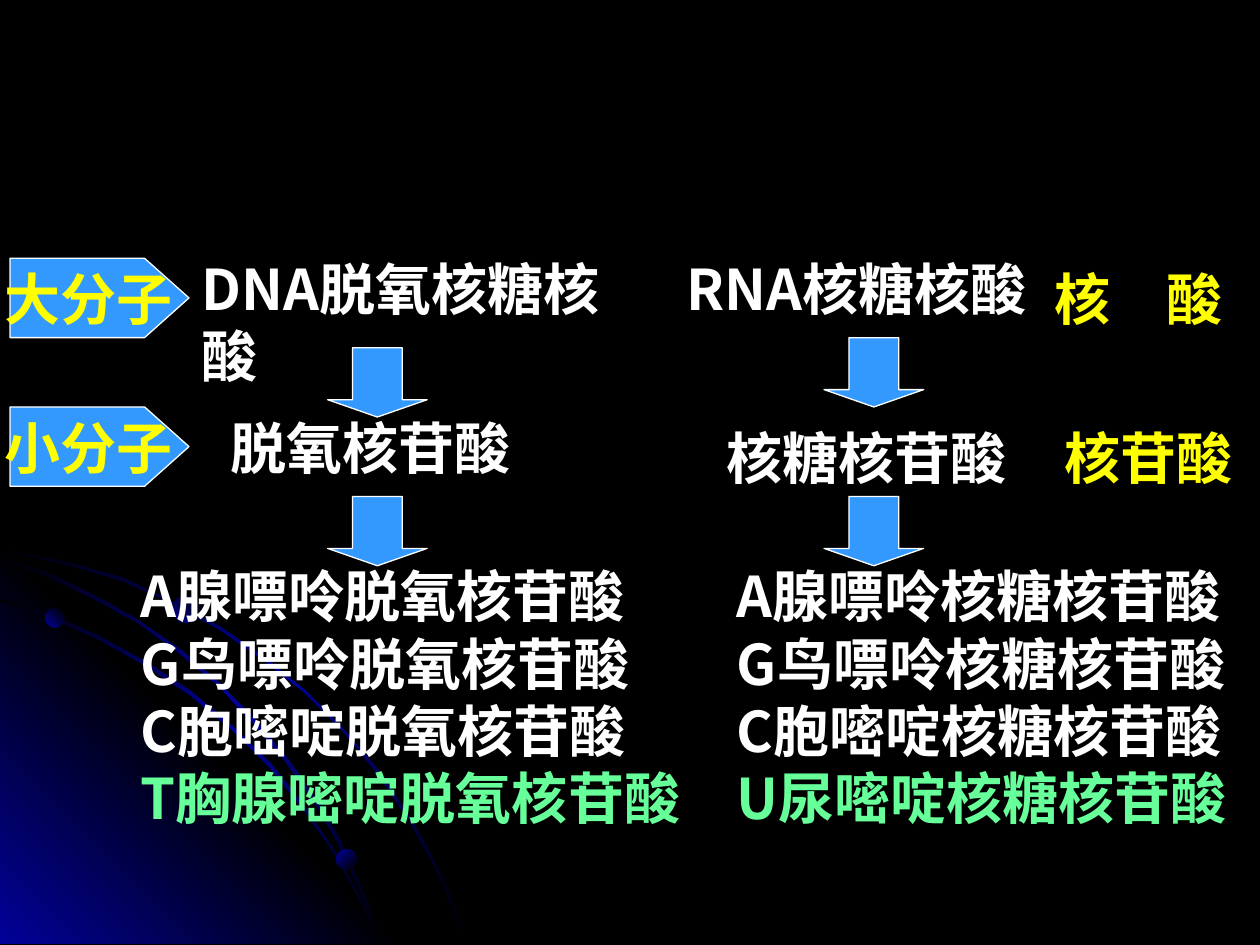
from pptx import Presentation
from pptx import util as u
from pptx.dml.color import RGBColor
from pptx.enum import shapes, text
from pptx.oxml import parse_xml
from pptx.oxml.ns import nsdecls, qn

PX = 9144  # 100 px to the inch
BLACK = RGBColor(0x00, 0x00, 0x00)
NAVY = RGBColor(0x01, 0x01, 0x99)
WHITE = RGBColor(0xFF, 0xFF, 0xFF)
YELLOW = RGBColor(0xFF, 0xFF, 0x00)
GREEN = RGBColor(0x66, 0xFF, 0x99)
BLUE = RGBColor(0x33, 0x99, 0xFF)
CJK = "Noto Sans CJK SC"

prs = Presentation()
prs.slide_width, prs.slide_height = 1000 * PX, 750 * PX
slide = prs.slides.add_slide(prs.slide_layouts[6])
slide.background.fill.solid()
slide.background.fill.fore_color.rgb = BLACK


def shade(shape, colors, angle):
    """Fill with evenly spaced gradient stops, without outline."""
    shape.shadow.inherit = False
    shape.line.fill.background()
    shape.fill.background()
    stops = "".join(
        f'<a:gs pos="{100000 * i // (len(colors) - 1)}"><a:srgbClr val="{c}"/></a:gs>'
        for i, c in enumerate(colors))
    gradient = parse_xml(
        f'<a:gradFill {nsdecls("a")}><a:gsLst>{stops}</a:gsLst>'
        f'<a:lin ang="{angle * 60000}" scaled="1"/></a:gradFill>')
    sp_pr = shape._element.spPr
    sp_pr.replace(sp_pr.find(qn("a:noFill")), gradient)


def write(shape, *paragraphs, color=WHITE, font=CJK, align=None, wrap=True):
    """Each paragraph is a string or a list of (string, color) runs."""
    frame = shape.text_frame
    frame.word_wrap = wrap
    for i, content in enumerate(paragraphs):
        paragraph = frame.paragraphs[0] if i == 0 else frame.add_paragraph()
        paragraph.alignment = align
        runs = [(content, color)] if isinstance(content, str) else content
        for words, run_color in runs:
            run = paragraph.add_run()
            run.text = words
            run.font.size = u.Pt(32)
            run.font.bold = True
            run.font.name = font
            run.font.color.rgb = run_color
            east_asian = parse_xml(f'<a:ea {nsdecls("a")} typeface="{CJK}"/>')
            run.font._element.find(qn("a:latin")).addnext(east_asian)


# Corner decoration: orbits and glow, back to front
outer_orbit = [
    (57, 447), (28, 441), (0, 435), (0, 438), (28, 443), (56, 449), (97, 461),
    (135, 478), (173, 499), (208, 523), (241, 549), (271, 579), (298, 612),
    (323, 649), (337, 673), (350, 698), (360, 723), (370, 749), (372, 749),
    (362, 723), (352, 698), (339, 673), (325, 648), (300, 611), (272, 578),
    (242, 548), (209, 521), (174, 497), (136, 477), (98, 459)]
corner_glow = [(322, 749), (0, 749), (0, 427)]
inner_orbit = [
    (285, 714), (294, 732), (301, 749), (303, 749), (296, 730), (286, 712),
    (266, 676), (242, 640), (215, 606), (184, 576), (152, 549), (117, 526),
    (79, 505), (41, 488), (0, 475), (0, 477), (39, 490), (77, 507), (115, 528),
    (150, 551), (183, 578), (213, 608), (240, 641), (265, 677)]
middle_orbit = [
    (0, 442), (0, 444), (36, 457), (74, 475), (109, 494), (142, 518),
    (173, 544), (202, 575), (227, 605), (252, 641), (267, 667), (280, 694),
    (292, 722), (301, 749), (303, 749), (294, 720), (282, 693), (269, 665),
    (254, 639), (229, 603), (204, 573), (175, 543), (144, 516), (111, 493),
    (76, 473), (39, 455)]
orbit_colors, glow_colors = (BLACK, NAVY, BLACK), (NAVY, BLACK, NAVY)
for points, colors, angle in [
        (outer_orbit, orbit_colors, 45), (corner_glow, glow_colors, 315),
        (inner_orbit, orbit_colors, 45), (middle_orbit, orbit_colors, 45)]:
    outline = slide.shapes.build_freeform(*points[0], scale=PX)
    outline.add_line_segments(points[1:], close=True)
    shade(outline.convert_to_shape(), colors, angle)

for x, y, size, angle in [(36, 483, 15, 315), (267, 674, 16, 45), (137, 473, 21, 315)]:
    planet = slide.shapes.add_shape(
        shapes.MSO_SHAPE.OVAL, x * PX, y * PX, size * PX, size * PX)
    shade(planet, (NAVY, BLACK), angle)

# Molecule names and their building blocks
dna_units = ["A腺嘌呤脱氧核苷酸", "G鸟嘌呤脱氧核苷酸", "C胞嘧啶脱氧核苷酸",
             [("T胸腺嘧啶脱氧核苷酸", GREEN)]]
rna_units = [[("A腺嘌呤核糖核苷酸 G鸟嘌呤核糖核苷酸 C胞嘧啶核糖核苷酸 ", WHITE),
              ("U尿嘧啶核糖核苷酸", GREEN)]]
category = dict(color=YELLOW, font="Arial")
for x, y, w, h, paragraphs, style in [
        (827, 205, 161, 63, ["核　酸"], category),
        (150, 197, 378, 63, ["DNA脱氧核糖核酸"], {}),
        (535, 197, 339, 63, ["RNA核糖核酸"], {}),
        (173, 323, 276, 63, ["脱氧核苷酸"], {}),
        (567, 331, 268, 63, ["核糖核苷酸"], {}),
        (102, 441, 457, 223, dna_units, {}),
        (575, 441, 417, 223, rna_units, {}),
        (835, 331, 169, 63, ["核苷酸"], category)]:
    label = slide.shapes.add_textbox(x * PX, y * PX, w * PX, h * PX)
    write(label, *paragraphs, **style)

# Breakdown arrows and size tags
DOWN, TAG = shapes.MSO_SHAPE.DOWN_ARROW, shapes.MSO_SHAPE.PENTAGON
for kind, x, y, w, h, words in [
        (DOWN, 260, 276, 79, 55, ""), (DOWN, 260, 394, 79, 55, ""),
        (DOWN, 654, 394, 79, 55, ""), (DOWN, 654, 268, 79, 55, ""),
        (TAG, 8, 205, 142, 63, "大分子"), (TAG, 8, 323, 142, 63, "小分子")]:
    marker = slide.shapes.add_shape(kind, x * PX, y * PX, w * PX, h * PX)
    marker.shadow.inherit = False
    marker.fill.solid()
    marker.fill.fore_color.rgb = BLUE
    marker.line.color.rgb = WHITE
    marker.line.width = u.Pt(0.75)
    if kind == DOWN:
        marker.adjustments[0], marker.adjustments[1] = 0.5, 0.25
    else:
        marker.adjustments[0] = 0.56
        marker.text_frame.vertical_anchor = text.MSO_ANCHOR.MIDDLE
        write(marker, words, color=YELLOW, align=text.PP_ALIGN.CENTER, wrap=False)

prs.save("out.pptx")
